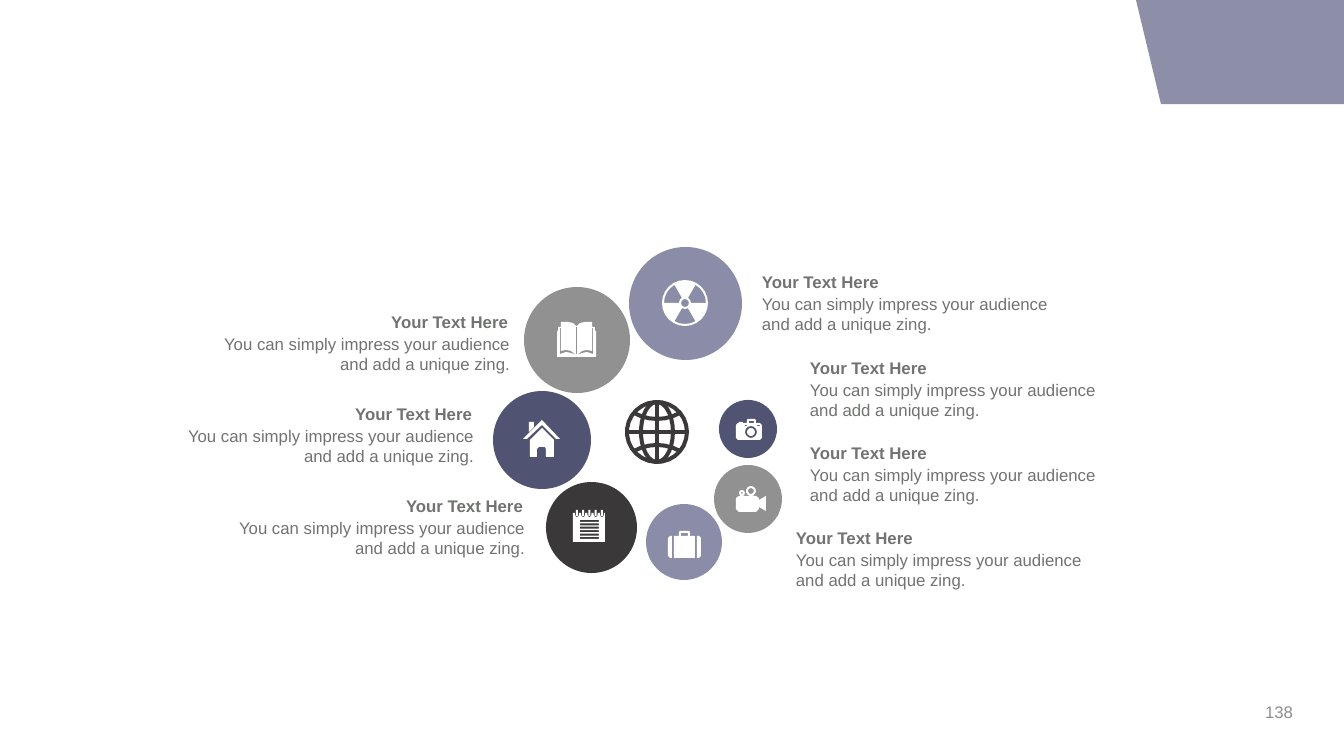
from math import cos, radians, sin, sqrt
from pptx import Presentation
from pptx.dml.color import RGBColor
from pptx.enum.shapes import MSO_SHAPE
from pptx.enum.text import MSO_ANCHOR, MSO_AUTO_SIZE, PP_ALIGN
from pptx.util import Emu, Pt

PX = 12192000 / 1344
COLORS = {
    "corner": "8D8EA8", "lilac": "8B8DA8", "gray": "919191", "navy": "515373",
    "dark": "3A3838", "white": "FFFFFF", "text": "707370", "number": "8E8E8E",
}


def arc(center_x, center_y, radius_x, radius_y, start=0, end=360):
    steps = max(2, round(abs(end - start) / 72 * sqrt(radius_y)))
    angles = [radians(start + (end - start) * step / steps) for step in range(steps + 1)]
    return [(center_x + radius_x * cos(a), center_y + radius_y * sin(a)) for a in angles]


def rect(left, top, right, bottom):
    return [(left, top), (right, top), (right, bottom), (left, bottom)]


deck = Presentation()
deck.slide_width, deck.slide_height = Emu(12192000), Emu(6858000)
page = deck.slides.add_slide(deck.slide_layouts[6])

circles = [
    (646, 504, 76, "lilac"), (629, 247, 113, "lilac"), (524, 287, 106, "gray"),
    (493, 391, 98, "navy"), (546, 482, 91, "dark"), (714, 465, 68, "gray"),
    (719, 400, 58, "navy"),
]
for left, top, size, color in circles:
    circle = page.shapes.add_shape(
        MSO_SHAPE.OVAL, *[Emu(round(n * PX)) for n in (left, top, size, size)])
    circle.shadow.inherit = False
    circle.fill.solid()
    circle.fill.fore_color.rgb = RGBColor.from_string(COLORS[color])
    circle.line.fill.background()

corner = [[(1136, 0), (1344, 0), (1344, 104), (1161, 104)]]

globe = [
    arc(657, 432, 30, 30), arc(657, 432, 16, 30),
    [(657, 402), (657, 462)], [(627, 432), (687, 432)],
    arc(657, 372, 47, 47, 61, 119), arc(657, 492, 47, 47, 241, 299),
]

radiation = [arc(685, 303, 23, 23), arc(685, 303, 4, 4)]
for start in (60, 180, 300):
    radiation.append(arc(685, 303, 21, 21, start, start + 60)
                     + arc(685, 303, 6, 6, start + 60, start))

cover_half = [(557, 357), (557, 331), (558, 331), (558, 327), (561, 327),
              (561, 322), (568, 322), (573, 323), (576, 326)]
page_edge = [(560, 328), (561, 328), (561, 351), (566, 350), (571, 351),
             (576, 355), (571, 353), (566, 352), (560, 354)]
book = [
    cover_half + [(1153 - x, y) for x, y in reversed(cover_half)],
    page_edge, [(1153 - x, y) for x, y in page_edge],
    rect(576, 327, 577, 354),
]

house = [
    [(542, 428), (554, 440), (554, 457), (546, 457), (546, 449), (545, 447),
     (539, 447), (537, 449), (537, 457), (530, 457), (530, 440)],
    [(529, 422), (534, 422), (534, 427), (529, 432)],
    [(542, 420), (560, 439), (556, 439), (542, 425), (527, 439), (523, 439)],
]

paper = [(573, 542), (573, 513)]
notepad = [paper]
for ring in range(5):
    ring_x = 577 + ring * 25 / 4
    paper += [(ring_x - 2, 513)] + arc(ring_x, 515, 2, 2, 180, 0) + [(ring_x + 2, 513)]
    notepad.append(rect(ring_x - 1, 510, ring_x + 1, 516))
paper += [(605, 513), (605, 542)]
for row in range(6):
    row_y = 520 + row * 17 / 5
    notepad.append(rect(580, row_y, 599, row_y + 2))

case_side = [(672, 536), (670, 536), (668, 538), (668, 556), (670, 558), (672, 558)]
suitcase = [
    case_side, [(1369 - x, y) for x, y in case_side],
    [(674, 536), (679, 536), (679, 532), (680, 531), (689, 531), (690, 532),
     (690, 536), (695, 536), (695, 558), (674, 558)],
    rect(681, 533, 688, 536),
]

camera = [
    [(736, 425), (738, 423), (739, 423), (739, 422), (743, 422), (743, 423),
     (747, 423), (747, 420), (748, 419), (755, 419), (756, 420), (756, 423),
     (760, 423), (762, 425), (762, 438), (760, 440), (738, 440), (736, 438)],
    rect(749, 421, 754, 423), rect(745, 425, 747, 426), rect(757, 425, 760, 426),
    arc(751, 432, 6, 6), arc(751, 432, 4, 4),
]

video = [
    [(736, 498), (739, 496), (756, 496), (759, 498), (759, 500), (766, 496),
     (766, 511), (759, 507), (759, 509), (756, 512), (739, 512), (736, 509)],
    arc(742, 493, 3, 3), arc(742, 493, 1, 1),
    arc(751, 491, 5, 5), arc(751, 491, 3, 3),
]

drawings = [(corner, "corner")] + [
    (icon, "white") for icon in (radiation, book, house, notepad, suitcase, camera, video)
] + [(globe, "dark")]
for contours, color in drawings:
    stroked = contours is globe
    scaled = [[(round(x * PX), round(y * PX)) for x, y in contour] for contour in contours]
    builder = page.shapes.build_freeform(*scaled[0][0], scale=1.0)
    for index, contour in enumerate(scaled):
        if index:
            builder.move_to(*contour[0])
        builder.add_line_segments(contour[1:], close=not stroked)
    drawing = builder.convert_to_shape()
    drawing.shadow.inherit = False
    paint = drawing.line.fill if stroked else drawing.fill
    paint.solid()
    paint.fore_color.rgb = RGBColor.from_string(COLORS[color])
    if stroked:
        drawing.fill.background()
        drawing.line.width = Emu(round(4 * PX))
    else:
        drawing.line.fill.background()

labels = [
    (752, 267, 336, PP_ALIGN.LEFT), (800, 353, 336, PP_ALIGN.LEFT),
    (800, 438, 336, PP_ALIGN.LEFT), (786, 523, 336, PP_ALIGN.LEFT),
    (184, 307, 336, PP_ALIGN.RIGHT), (157, 399, 327, PP_ALIGN.RIGHT),
    (199, 491, 336, PP_ALIGN.RIGHT),
]
texts = [("138", (1001, 700, 302, 24), PP_ALIGN.RIGHT, False, "number")]
for left, top, width, align in labels:
    texts += [
        ("You can simply impress your audience and add a unique zing.",
         (left, top + 21, width, 51), align, False, "text"),
        ("Your Text Here", (left, top, width - 2, 30), align, True, "text"),
    ]
for words, bounds, align, bold, color in texts:
    box = page.shapes.add_textbox(*[Emu(round(n * PX)) for n in bounds])
    frame_format = {
        "word_wrap": True, "vertical_anchor": MSO_ANCHOR.MIDDLE,
        "auto_size": MSO_AUTO_SIZE.NONE if color == "number" else MSO_AUTO_SIZE.SHAPE_TO_FIT_TEXT,
    }
    for name, value in frame_format.items():
        setattr(box.text_frame, name, value)
    para = box.text_frame.paragraphs[0]
    para.alignment = align
    span = para.add_run()
    span.text = words
    for name, value in {"name": "Arial", "size": Pt(12), "bold": bold}.items():
        setattr(span.font, name, value)
    span.font.color.rgb = RGBColor.from_string(COLORS[color])

deck.save("out.pptx")
